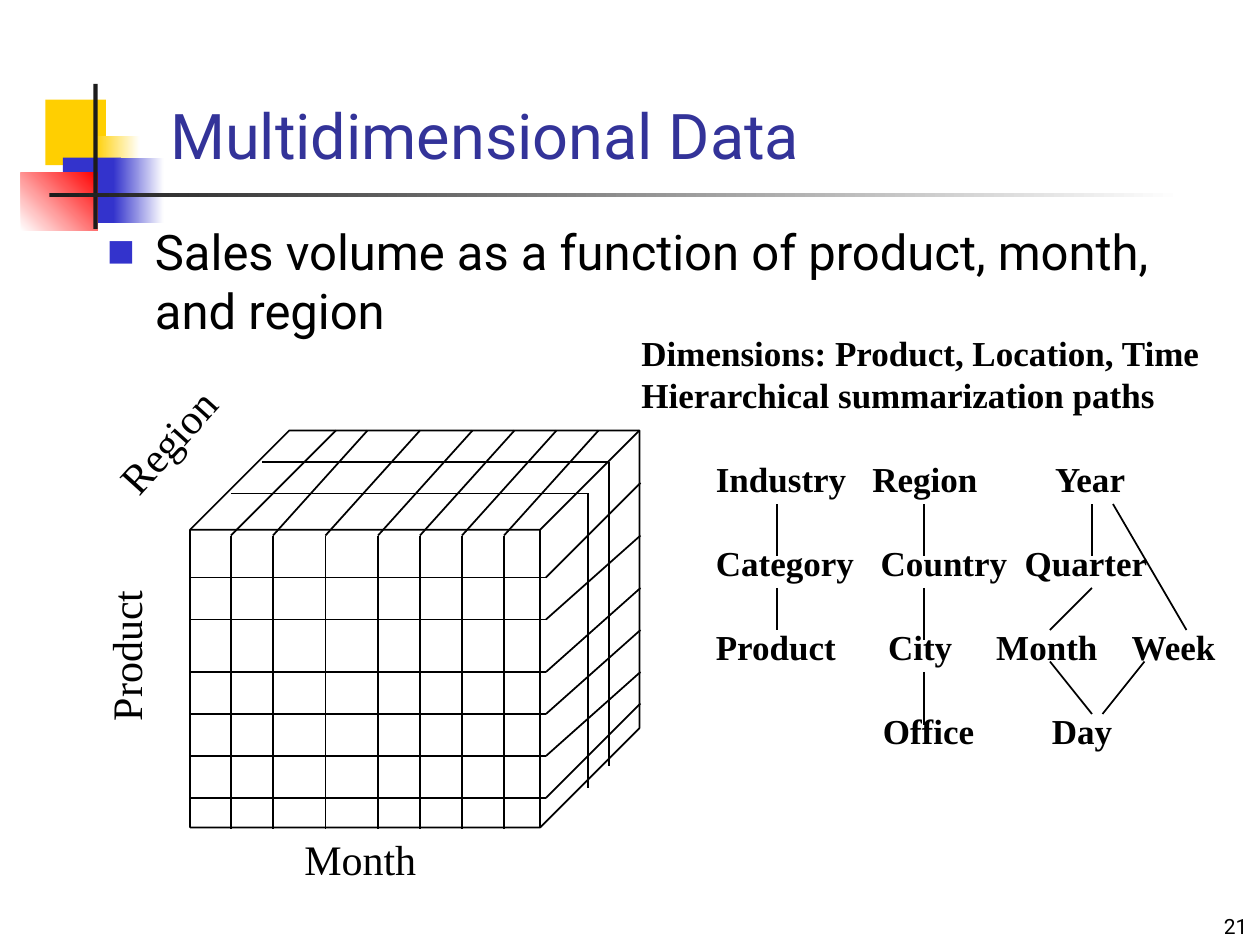
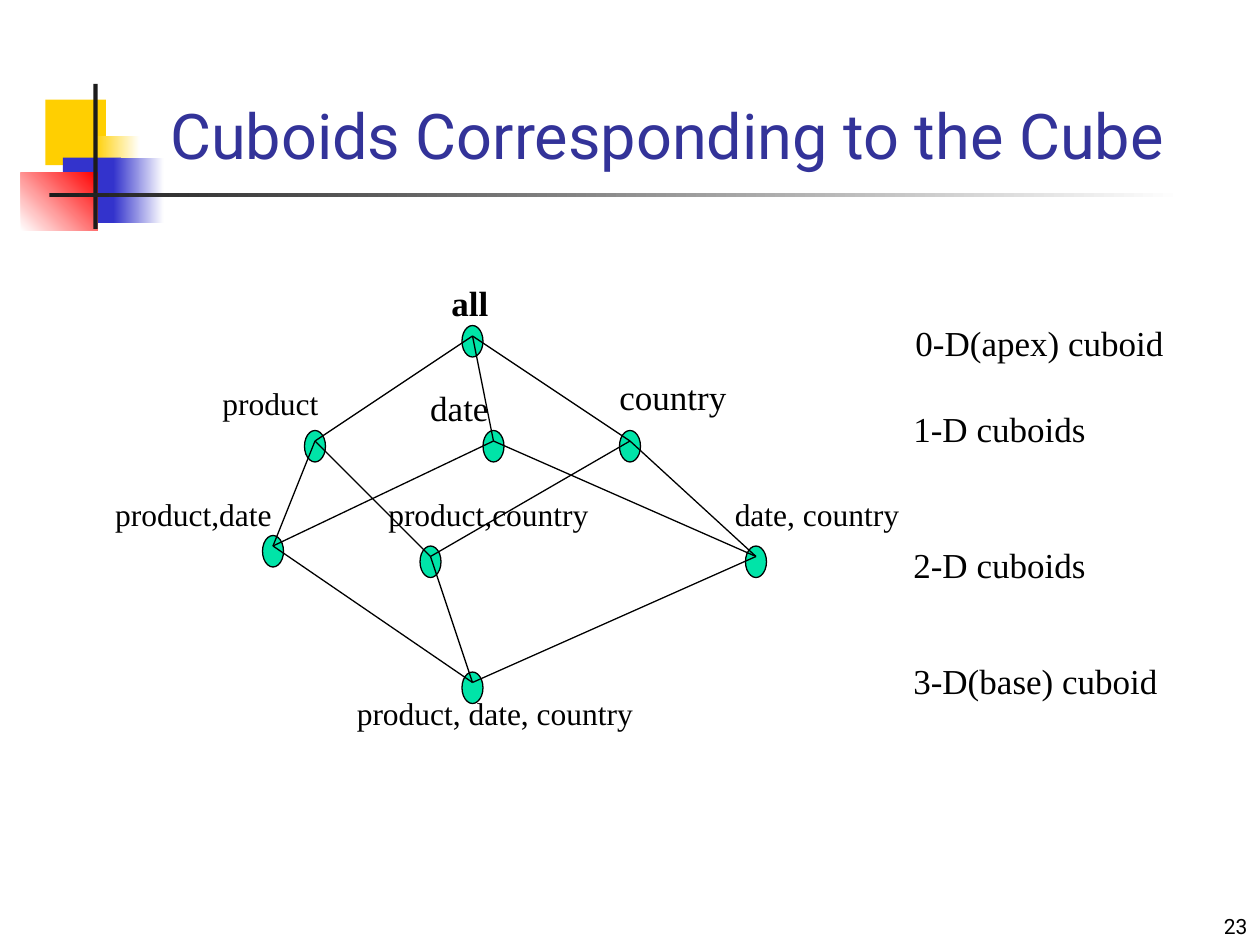
from dataclasses import dataclass
from itertools import permutations
from typing import NamedTuple

from lxml.etree import SubElement as Sub
from pptx import Presentation
from pptx.dml.color import RGBColor as Rgb
from pptx.enum.shapes import MSO_CONNECTOR as Link, MSO_SHAPE as Kind
from pptx.enum.text import MSO_ANCHOR as Anchor, MSO_AUTO_SIZE as Fit, PP_ALIGN as Align
from pptx.oxml.ns import qn
from pptx.util import Emu, Inches, Pt

WIDE, HIGH = Inches(10), Inches(7.5)
COLS, ROWS = 120, 90
SANS, SERIF = "Roboto", "Times New Roman"
HUES = {
    "ink": "000000", "title": "333399", "gold": "FFCF01", "blue": "3333CC",
    "red": "FF0000", "white": "FFFFFF", "dark": "1C1C1C", "node": "00E4A8",
}


class Box(NamedTuple):
    left: float
    top: float
    width: float
    height: float


class Line(NamedTuple):
    x1: float
    y1: float
    x2: float
    y2: float


@dataclass(frozen=True)
class Band:
    box: Box
    hue: str
    end: str = ""
    angle: int = 0


@dataclass(frozen=True)
class Label:
    text: str
    box: Box
    size: int = 20
    bold: bool = False
    turn: int = 0


@dataclass(frozen=True)
class Node:
    dims: str
    col: int
    row: int


BANDS = [
    Band(Box(4.32, 9.48, 5.76, 6.24), "gold"),
    Band(Box(9, 12.96, 4.32, 6.24), "gold", "white"),
    Band(Box(6, 15, 5.52, 6.24), "blue"),
    Band(Box(10.8, 15, 4.8, 6.24), "blue", "white"),
    Band(Box(2, 16.44, 7.32, 5.52), "white", "red", 45),
    Band(Box(8.9, 8, 0.4, 13.8), "dark"),
    Band(Box(4.7, 18.4, 108, 0.4), "dark", "white"),
]
TITLE = Box(15, 9, 102.2, 8)
BODY = Box(9, 20.5, 105, 60)
PAGE = Box(95, 84, 25, 6)

CUBE = Box(18.1, 41, 42.8, 37.8)
LEFT, RIGHT, FRONT, BASE, BACK, FAR = 18, 52, 51, 79, 41, 61
CUTS = [(22, 32), (26, 35), (31, 40), (36, 45), (40, 49), (44, 53), (48, 57)]
TIERS = [(55, 46), (59, 51), (64, 56), (68, 60), (72, 64), (76, 67)]
DEPTHS = [(25, 58, 44, 73), (22, 56, 47, 75)]
AXES = [
    Label("Product", Box(4.5, 59.4, 14.9, 6), 24, turn=270),
    Label("Region", Box(9, 39, 13.9, 6), 24, turn=312),
    Label("Month", Box(27.8, 78.8, 13.1, 6), 24),
]
NOTE = Label("Dimensions: Product, Location, Time\nHierarchical summarization paths",
             Box(59.9, 31, 55.8, 9.2), bold=True)
PATHS = Box(67, 43, 50.4, 29.3)
LEVELS = [
    ("Industry\tRegion\tYear", (14.9, 32.3)),
    ("Category\tCountry\tQuarter", (15.7, 29.4)),
    ("Product\tCity\tMonth\tWeek", (16.4, 26.7, 39.6)),
    ("\tOffice\tDay", (15.9, 32)),
]
STEPS = [
    Line(74, 48, 74, 53), Line(88, 48, 88, 53), Line(104, 48, 104, 53),
    Line(74, 56, 74, 60), Line(88, 56, 88, 61), Line(88, 64, 88, 69),
    Line(104, 56, 100, 60), Line(106, 48, 113, 60),
    Line(100, 63, 104, 68), Line(109, 63, 105, 68),
]

NODES = [
    Node("", 44, 31), Node("p", 29, 41), Node("d", 46, 41), Node("c", 59, 41),
    Node("pd", 25, 51), Node("dc", 71, 52), Node("pc", 40, 52), Node("pdc", 44, 64),
]
NAMES = [
    Label("all", Box(41.8, 26.2, 5.9, 5.3), bold=True),
    Label("product", Box(20, 36, 11.5, 4.8), 18),
    Label("date", Box(39.8, 36.2, 7.9, 5.3)),
    Label("country", Box(57.8, 35.2, 12.6, 5.3)),
    Label("product,date", Box(9.8, 46.6, 17.3, 4.8), 18),
    Label("product,country", Box(35.8, 46.6, 21.5, 4.8), 18),
    Label("date, country", Box(68.8, 46.6, 18, 4.8), 18),
    Label("product, date, country", Box(32.8, 65.5, 28.7, 4.8), 18),
    Label("0-D(apex) cuboid", Box(86, 30, 26, 5.3)),
    Label("1-D cuboids", Box(85.8, 38.2, 18.8, 5.3)),
    Label("2-D cuboids", Box(85.8, 51.2, 18.8, 5.3)),
    Label("3-D(base) cuboid", Box(85.8, 62.2, 25.7, 5.3)),
]


def hue(name: str) -> Rgb:
    return Rgb.from_string(HUES[name])


def across(cols: float) -> Emu:
    return Emu(round(WIDE * cols / COLS))


def down(rows: float) -> Emu:
    return Emu(round(HIGH * rows / ROWS))


def place(box: Box) -> tuple:
    return across(box.left), down(box.top), across(box.width), down(box.height)


def write(frame, text: str, *, size: float = 20, font: str = SERIF, ink: str = "ink",
          bold: bool = False, align=Align.LEFT, anchor=Anchor.TOP,
          wrap: bool = False, gap: float = 0) -> None:
    frame.auto_size = Fit.NONE
    frame.word_wrap = wrap
    frame.vertical_anchor = anchor
    for spot, line in enumerate(text.split("\n")):
        para = frame.add_paragraph() if spot else frame.paragraphs[0]
        para.alignment = align
        para.space_before = Pt(gap)
        run = para.add_run()
        run.text = line
        run.font.size, run.font.name, run.font.bold = Pt(size), font, bold
        run.font.color.rgb = hue(ink)


def draw(slide, kind, box: Box, fill: str = "", edge: float = 0):
    shape = slide.shapes.add_shape(kind, *place(box))
    shape.shadow.inherit = False
    if fill:
        shape.fill.solid()
        shape.fill.fore_color.rgb = hue(fill)
    else:
        shape.fill.background()
    if edge:
        shape.line.color.rgb = hue("ink")
        shape.line.width = Pt(edge)
    else:
        shape.line.fill.background()
    return shape


def rule(slide, line: Line, width: float = 1) -> None:
    link = slide.shapes.add_connector(
        Link.STRAIGHT, across(line.x1), down(line.y1), across(line.x2), down(line.y2))
    link.line.color.rgb = hue("ink")
    link.line.width = Pt(width)
    Sub(link._element.spPr, qn("a:effectLst"))


def label(slide, item: Label) -> None:
    shape = slide.shapes.add_textbox(*place(item.box))
    shape.rotation = item.turn
    write(shape.text_frame, item.text, size=item.size, bold=item.bold)


def band(slide, item: Band) -> None:
    shape = draw(slide, Kind.RECTANGLE, item.box, item.hue)
    if item.end:
        shape.fill.gradient()
        shape.fill.gradient_angle = item.angle
        for stop, name in zip(shape.fill.gradient_stops, (item.hue, item.end)):
            stop.color.rgb = hue(name)


def fill_holder(holder, box: Box, text: str, **style) -> None:
    holder.left, holder.top, holder.width, holder.height = place(box)
    write(holder.text_frame, text, font=SANS, wrap=True, **style)


def start(deck, layout: int, title: str, page: int):
    slide = deck.slides.add_slide(deck.slide_layouts[layout])
    for item in BANDS:
        band(slide, item)
    fill_holder(slide.shapes.title, TITLE, title, size=36, ink="title", anchor=Anchor.BOTTOM)
    shape = slide.shapes.add_textbox(*place(PAGE))
    write(shape.text_frame, str(page), size=12, font=SANS,
          align=Align.RIGHT, anchor=Anchor.BOTTOM, wrap=True)
    return slide


def bullet(para) -> None:
    props = para._p.get_or_add_pPr()
    props.set("marL", str(Inches(0.38)))
    props.set("indent", str(-Inches(0.38)))
    tint = Sub(props, qn("a:buClr"))
    Sub(tint, qn("a:srgbClr"), val=HUES["blue"])
    Sub(props, qn("a:buSzPct"), val="60000")
    Sub(props, qn("a:buFont"), typeface=SANS)
    Sub(props, qn("a:buChar"), char="■")


def cube(slide) -> None:
    draw(slide, Kind.CUBE, CUBE, edge=1).adjustments[0] = 0.25
    for row, end in TIERS:
        rule(slide, Line(LEFT, row, RIGHT, row))
        rule(slide, Line(RIGHT, row, FAR, end))
    for col, end in CUTS:
        rule(slide, Line(col, FRONT, col, BASE))
        rule(slide, Line(col, FRONT, end, BACK))
    for left, right, top, foot in DEPTHS:
        rule(slide, Line(left, top, right, top))
        rule(slide, Line(right, top, right, foot))
    for item in AXES:
        label(slide, item)


def paths(slide) -> None:
    frame = slide.shapes.add_textbox(*place(PATHS)).text_frame
    write(frame, "\n".join(text for text, _ in LEVELS), bold=True, wrap=True, gap=24)
    frame.paragraphs[0].space_before = Pt(0)
    for para, (_, stops) in zip(frame.paragraphs, LEVELS):
        tabs = Sub(para._p.get_or_add_pPr(), qn("a:tabLst"))
        for stop in stops:
            Sub(tabs, qn("a:tab"), pos=str(across(stop)), algn="l")
    for step in STEPS:
        rule(slide, step)


def lattice(slide) -> None:
    for node in NODES:
        draw(slide, Kind.FLOWCHART_CONNECTOR, Box(node.col, node.row, 2, 3), "node", 0.75)
    for low, high in permutations(NODES, 2):
        if set(low.dims) < set(high.dims) and len(high.dims) == len(low.dims) + 1:
            rule(slide, Line(low.col + 1, low.row + 1, high.col + 1, high.row + 1), 0.75)
    for item in NAMES:
        label(slide, item)


def main() -> None:
    deck = Presentation()
    deck.slide_width, deck.slide_height = WIDE, HIGH

    data = start(deck, 1, "Multidimensional Data", 21)
    body = data.placeholders[1]
    fill_holder(body, BODY, "Sales volume as a function of product, month, and region",
                size=28, gap=7)
    bullet(body.text_frame.paragraphs[0])
    cube(data)
    label(data, NOTE)
    paths(data)

    lattice(start(deck, 5, "Cuboids Corresponding to the Cube", 23))
    deck.save("out.pptx")


if __name__ == "__main__":
    main()
